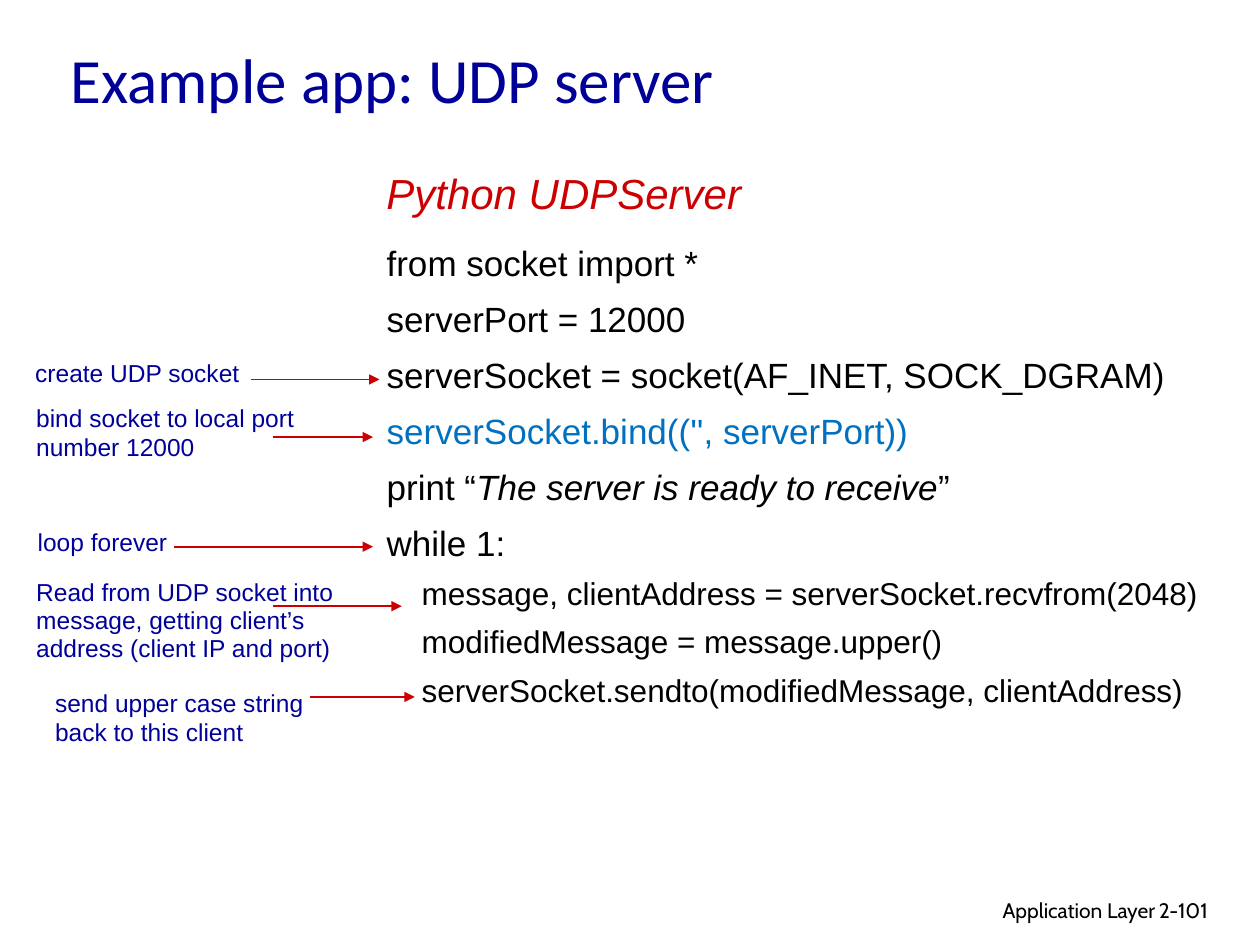
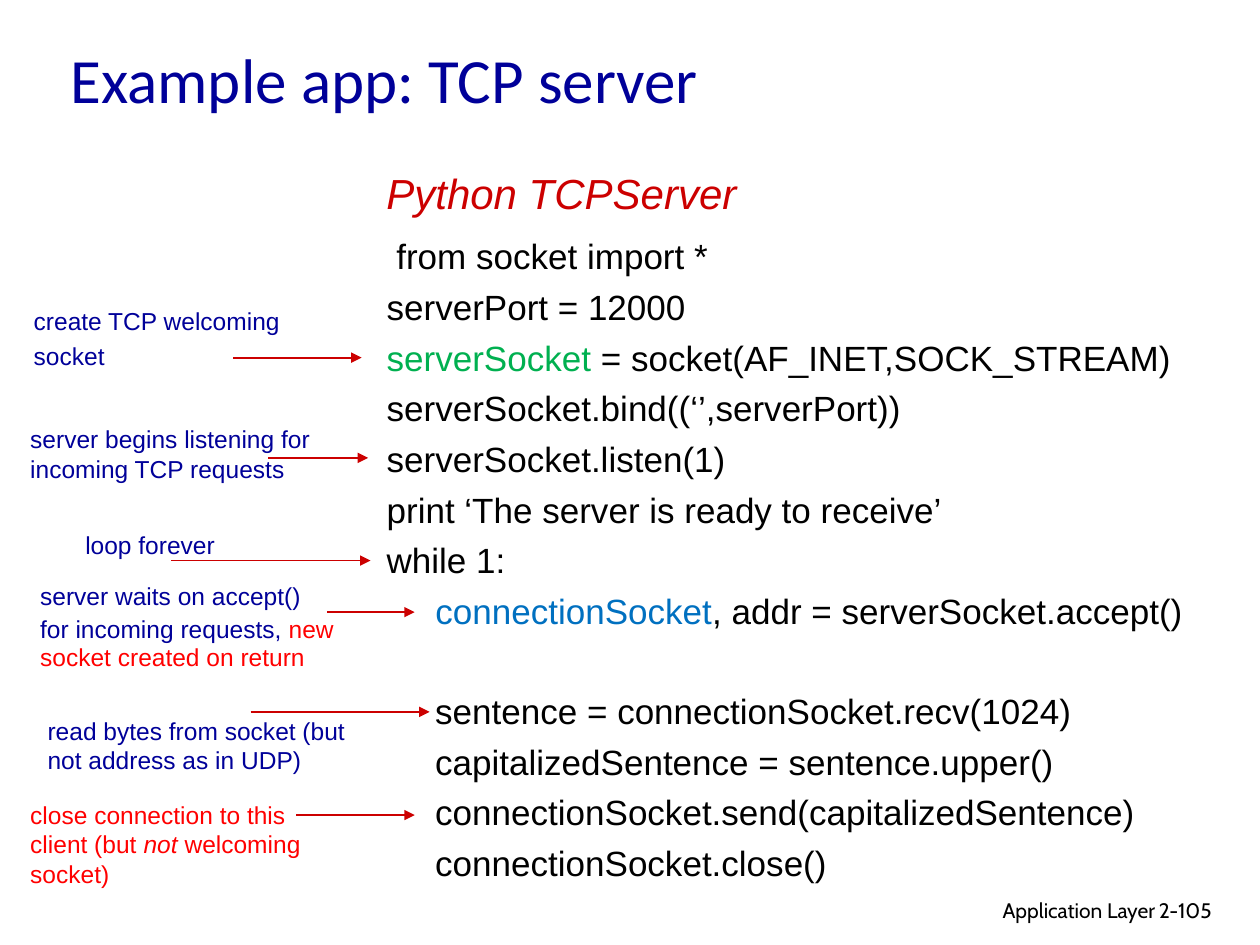
from dataclasses import dataclass

from lxml import etree
from pptx import Presentation
from pptx import util as u
from pptx.dml.color import RGBColor
from pptx.enum import shapes, text
from pptx.oxml.ns import qn


@dataclass(frozen=True)
class Theme:
    """Colours, fonts and type sizes of the deck."""
    navy: str = "000099"
    crimson: str = "CC0000"
    red: str = "FF0000"
    blue: str = "0070C0"
    green: str = "00B050"
    black: str = "000000"
    title_font: str = "Calibri"
    body_font: str = "Arial"
    footer_font: str = "Cabin"
    title_size: int = 36
    heading_size: int = 24
    code_size: int = 20
    nested_size: int = 18
    note_size: int = 14
    footer_size: int = 12


THEME = Theme()
CODE_LEFT = 7.54


def write(frame, content, *, size, color, font=THEME.body_font, italic=False,
          align=text.PP_ALIGN.LEFT, before=0, pitch=None, plain=False):
    """Add a paragraph from a string or a list of strings and (string, format) pairs."""
    first = not frame.paragraphs[0].runs
    para = frame.paragraphs[0] if first else frame.add_paragraph()
    if plain:
        properties = para._p.get_or_add_pPr()
        properties.set("marL", "0")
        properties.set("indent", "0")
        etree.SubElement(properties, qn("a:buNone"))
    para.alignment = align
    para.space_before = u.Pt(0 if first else before)
    if pitch:
        para.line_spacing = u.Pt(pitch)
    for part in [content] if isinstance(content, str) else content:
        words, style = (part, {}) if isinstance(part, str) else part
        span = para.add_run()
        span.text = words
        span.font.name = font
        span.font.size = u.Pt(size)
        span.font.italic = style.get("italic", italic)
        span.font.color.rgb = RGBColor.from_string(style.get("color", color))


def place(box, left, top, width, height):
    """Move and size a box, in centimetres, and return its wrapping text frame."""
    box.left, box.top, box.width, box.height = map(u.Cm, (left, top, width, height))
    frame = box.text_frame
    frame.word_wrap = True
    frame.auto_size = text.MSO_AUTO_SIZE.NONE
    return frame


def add_box(page, *area):
    """Add a text box and return its text frame."""
    return place(page.shapes.add_textbox(0, 0, 0, 0), *area)


def add_arrow(page, start, end, top):
    """Draw a level arrow pointing right."""
    arrow = page.shapes.add_connector(
        shapes.MSO_CONNECTOR.STRAIGHT, u.Cm(start), u.Cm(top), u.Cm(end), u.Cm(top))
    arrow.line.color.rgb = RGBColor.from_string(THEME.crimson)
    arrow.line.width = u.Pt(1)
    etree.SubElement(arrow.line._get_or_add_ln(), qn("a:tailEnd"), type="triangle")
    etree.SubElement(arrow._element.spPr, qn("a:effectLst"))


def add_note(page, area, arrow, *lines, color=THEME.navy, pitch=None):
    """Add a margin note and the arrow from it to the code."""
    frame = add_box(page, *area)
    for line in lines:
        write(frame, line, size=THEME.note_size, color=color, before=3, pitch=pitch)
    add_arrow(page, *arrow)


def add_code(page, height, lines):
    """Fill the body placeholder with (content, format) code lines."""
    frame = place(page.placeholders[1], CODE_LEFT, 4.6, 17.27, height)
    for content, style in lines:
        write(frame, content, **{"size": THEME.code_size, "color": THEME.black,
                                 "plain": True, **style})


def add_page(deck, protocol, number):
    """Add a page with its title, program heading and footer."""
    page = deck.slides.add_slide(deck.slide_layouts[1])
    title = place(page.shapes.title, 1.17, 0.25, 21.59, 2.64)
    title.vertical_anchor = text.MSO_ANCHOR.MIDDLE
    write(title, f"Example app: {protocol} server", size=THEME.title_size,
          color=THEME.navy, font=THEME.title_font)
    write(add_box(page, CODE_LEFT, 3.25, 8, 1.3), f"Python {protocol}Server",
          size=THEME.heading_size, color=THEME.crimson, italic=True)
    footer = {"size": THEME.footer_size, "color": THEME.black, "font": THEME.footer_font}
    write(add_box(page, 15.49, 17.96, 8.05, 0.79), "Application Layer",
          align=text.PP_ALIGN.RIGHT, **footer)
    write(add_box(page, 23.11, 17.96, 1.88, 0.76), number, **footer)
    return page


def build_udp_page(deck):
    """Build the UDP server page."""
    page = add_page(deck, "UDP", "2-101")
    outer = {"before": 4, "pitch": 28}
    nested = {"before": 3.6, "pitch": 24, "size": THEME.nested_size}
    add_code(page, 10.11, [
        ("from socket import *", outer),
        ("serverPort = 12000", outer),
        ("serverSocket = socket(AF_INET, SOCK_DGRAM)", outer),
        ("serverSocket.bind(('', serverPort))", {**outer, "color": THEME.blue}),
        (["print “", ("The server is ready to receive", {"italic": True}), "”"], outer),
        ("while 1:", outer),
        ("    message, clientAddress = serverSocket.recvfrom(2048)", nested),
        ("    modifiedMessage = message.upper()", nested),
        ("    serverSocket.sendto(modifiedMessage, clientAddress)", nested),
    ])
    add_note(page, (0.46, 7.09, 7.11, 0.86), (5.05, 7.65, 7.65), "create UDP socket")
    add_note(page, (0.48, 8, 6.3, 1.45), (5.51, 7.52, 8.81),
             "bind socket to local port number 12000")
    add_note(page, (0.51, 10.52, 3.33, 0.84), (3.51, 7.52, 11.02), "loop forever", pitch=16)
    add_note(page, (0.48, 11.53, 6.53, 1.96), (5.51, 8.1, 12.22),
             "Read from UDP socket into message, getting client’s address "
             "(client IP and port)", pitch=16)
    add_note(page, (0.86, 13.74, 6.53, 1.45), (6.25, 8.36, 14.05),
             "send upper case string back to this client")


def build_tcp_page(deck):
    """Build the TCP server page."""
    page = add_page(deck, "TCP", "2-105")
    line = {"before": 5}
    add_code(page, 13.41, [
        (" from socket import *", line),
        ("serverPort = 12000", line),
        ([("serverSocket", {"color": THEME.green}), " = socket(AF_INET,SOCK_STREAM)"], line),
        ("serverSocket.bind((‘’,serverPort))", line),
        ("serverSocket.listen(1)", line),
        ("print ‘The server is ready to receive’", line),
        ("while 1:", line),
        (["     ", ("connectionSocket", {"color": THEME.blue}),
          ", addr = serverSocket.accept()"], line),
        ("     sentence = connectionSocket.recv(1024)", {"before": 33}),
        ("     capitalizedSentence = sentence.upper()", line),
        ("     connectionSocket.send(capitalizedSentence)", line),
        ("     connectionSocket.close()", line),
    ])
    add_note(page, (0.43, 6.05, 7.11, 1.57), (4.7, 7.29, 7.21),
             "create TCP welcoming", "socket")
    add_note(page, (0.36, 8.43, 6.3, 1.45), (5.41, 7.42, 9.23),
             "server begins listening for incoming TCP requests")
    add_note(page, (1.47, 10.59, 3.33, 0.84), (3.45, 7.47, 11.3), "loop forever", pitch=16)
    add_note(page, (0.56, 11.61, 7.14, 2.08), (6.6, 8.36, 12.34), "server waits on accept()",
             ["for incoming requests, ", ("new socket created on return", {"color": THEME.red})],
             pitch=16)
    add_note(page, (0.71, 14.3, 6.53, 1.45), (5.05, 8.66, 14.35),
             "read bytes from socket (but not address as in UDP)")
    add_note(page, (0.36, 16, 6.53, 2.06), (5.97, 8.36, 16.43),
             ["close connection to this client (but ", ("not", {"italic": True}),
              " welcoming socket)"], color=THEME.red)


def main():
    """Build and save the deck."""
    deck = Presentation()
    deck.slide_width, deck.slide_height = u.Cm(25.4), u.Cm(19.05)
    build_udp_page(deck)
    build_tcp_page(deck)
    deck.save("out.pptx")


if __name__ == "__main__":
    main()
